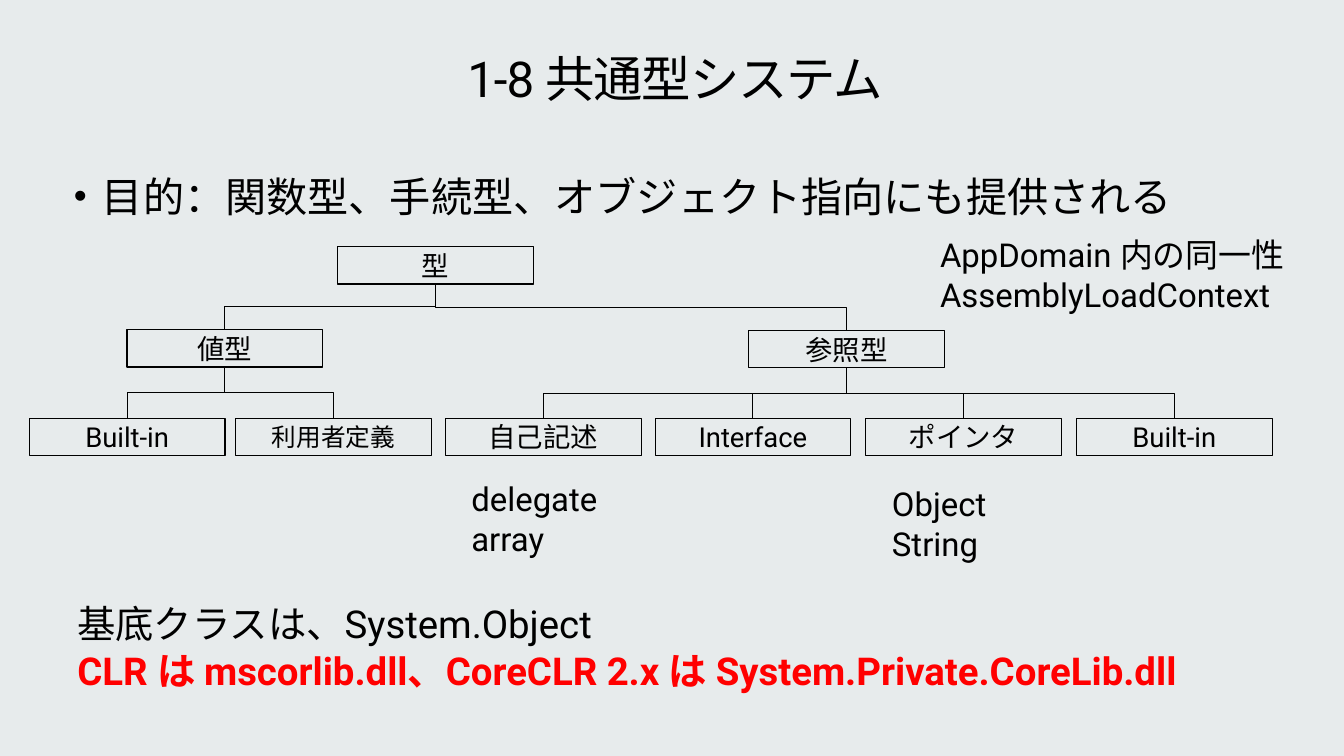
import pptx
import pptx.util
import pptx.dml.color
import pptx.enum.shapes
import pptx.enum.text
import pptx.oxml.ns
from lxml import etree

Cm, Pt = pptx.util.Cm, pptx.util.Pt
qn = pptx.oxml.ns.qn
align = pptx.enum.text.PP_ALIGN
anchor = pptx.enum.text.MSO_ANCHOR
rgb = pptx.dml.color.RGBColor.from_string
colors = {"back": "E7EBEC", "ink": "000000", "alert": "FF0000"}


def write(text, box, size, color="ink", bold=False, center=False):
    """Add one line of text to a box and return its paragraph."""
    frame = box.text_frame
    frame.word_wrap = True
    para = frame.add_paragraph() if frame.text else frame.paragraphs[0]
    para.alignment = align.CENTER if center else align.LEFT
    run = para.add_run()
    run.text = text
    font = run.font
    font.name, font.size, font.bold = "Roboto", Pt(size), bold
    font.color.rgb = rgb(colors[color])
    east = etree.SubElement(font._element, qn("a:ea"))
    east.set("typeface", "Noto Sans CJK JP")
    return para


def pad(box):
    """Give a box the wide margins of the title and the bullet."""
    frame = box.text_frame
    frame.margin_left = frame.margin_right = Cm(0.41)
    frame.margin_top = frame.margin_bottom = Cm(0.25)


deck = pptx.Presentation()
deck.slide_width, deck.slide_height = Cm(33.87), Cm(19.05)
slide = deck.slides.add_slide(deck.slide_layouts[5])
slide.background.fill.solid()
slide.background.fill.fore_color.rgb = rgb(colors["back"])
shapes = slide.shapes

# Title
title = shapes.title
title.left, title.top, title.width, title.height = Cm(0.76), Cm(0.81), Cm(32.51), Cm(2.49)
pad(title)
title.text_frame.auto_size = pptx.enum.text.MSO_AUTO_SIZE.NONE
title.text_frame.vertical_anchor = anchor.MIDDLE
para = write("1-8 共通型システム", title, 35.3, center=True)
para.line_spacing = 0.9
para.runs[0].font._element.set("spc", "-80")

# Purpose bullet
goal = shapes.add_textbox(Cm(1.45), Cm(4.06), Cm(30.99), Cm(13.41))
pad(goal)
para = write("目的：関数型、手続型、オブジェクト指向にも提供される", goal, 29.4)
props = para._p.get_or_add_pPr()
props.set("marL", str(Cm(0.71)))
props.set("indent", str(-Cm(0.71)))
for tag, key, value in (("a:buSzPct", "val", "90000"), ("a:buFont", "typeface", "Arial"),
                        ("a:buChar", "char", "•")):
    etree.SubElement(props, qn(tag)).set(key, value)

# Type tree: label, left, top, size, parent
tree = [
    ("型", 8.51, 6.22, 19.6, None),
    ("値型", 3.2, 8.31, 19.6, 0),
    ("参照型", 18.87, 8.33, 19.6, 0),
    ("Built-in", 0.74, 10.54, 19.6, 1),
    ("利用者定義", 5.94, 10.54, 17.6, 1),
    ("自己記述", 11.23, 10.54, 19.6, 2),
    ("Interface", 16.51, 10.54, 19.6, 2),
    ("ポインタ", 21.82, 10.54, 19.6, 2),
    ("Built-in", 27.13, 10.54, 19.6, 2),
]
nodes = []
for label, left, top, size, parent in tree:
    node = shapes.add_shape(pptx.enum.shapes.MSO_SHAPE.RECTANGLE,
                            Cm(left), Cm(top), Cm(4.93), Cm(0.94))
    node.shadow.inherit = False
    node.fill.background()
    node.line.color.rgb = rgb(colors["ink"])
    node.line.width = Pt(0.85)
    node.text_frame.vertical_anchor = anchor.MIDDLE
    write(label, node, size, center=True)
    nodes.append(node)

# Elbow links, turned so that they leave and arrive vertically
for node, (label, left, top, size, parent) in zip(nodes, tree):
    if parent is None:
        continue
    link = shapes.add_connector(pptx.enum.shapes.MSO_CONNECTOR.ELBOW, 0, 0, 0, 0)
    link.begin_connect(nodes[parent], 2)
    link.end_connect(node, 0)
    dx, dy = link.end_x - link.begin_x, link.end_y - link.begin_y
    midx, midy = link.begin_x + dx // 2, link.begin_y + dy // 2
    link.width, link.height = dy, abs(dx)
    link.left, link.top = midx - dy // 2, midy - abs(dx) // 2
    frame = link._element.spPr.find(qn("a:xfrm"))
    frame.set("rot", str((90 if dx < 0 else 270) * 60000))
    frame.set("flipH", "0" if dx < 0 else "1")
    frame.set("flipV", "0")
    link.line.color.rgb = rgb(colors["ink"])
    link.line.width = Pt(0.75)
    etree.SubElement(link._element.spPr, qn("a:effectLst"))

# Notes around the tree
notes = [
    (23.44, 5.79, 9.91, ("AppDomain 内の同一性", "AssemblyLoadContext")),
    (11.63, 11.94, 5.99, ("delegate", "array")),
    (22.23, 12.07, 4.75, ("Object", "String")),
]
for left, top, width, lines in notes:
    note = shapes.add_textbox(Cm(left), Cm(top), Cm(width), Cm(2.26))
    for line in lines:
        write(line, note, 23.5)

# Base class
base = shapes.add_textbox(Cm(1.7), Cm(15.01), Cm(30.71), Cm(2.59))
write("基底クラスは、System.Object", base, 27.4)
write("CLR は mscorlib.dll、CoreCLR 2.x は System.Private.CoreLib.dll", base, 27.4,
      color="alert", bold=True)

deck.save("out.pptx")
